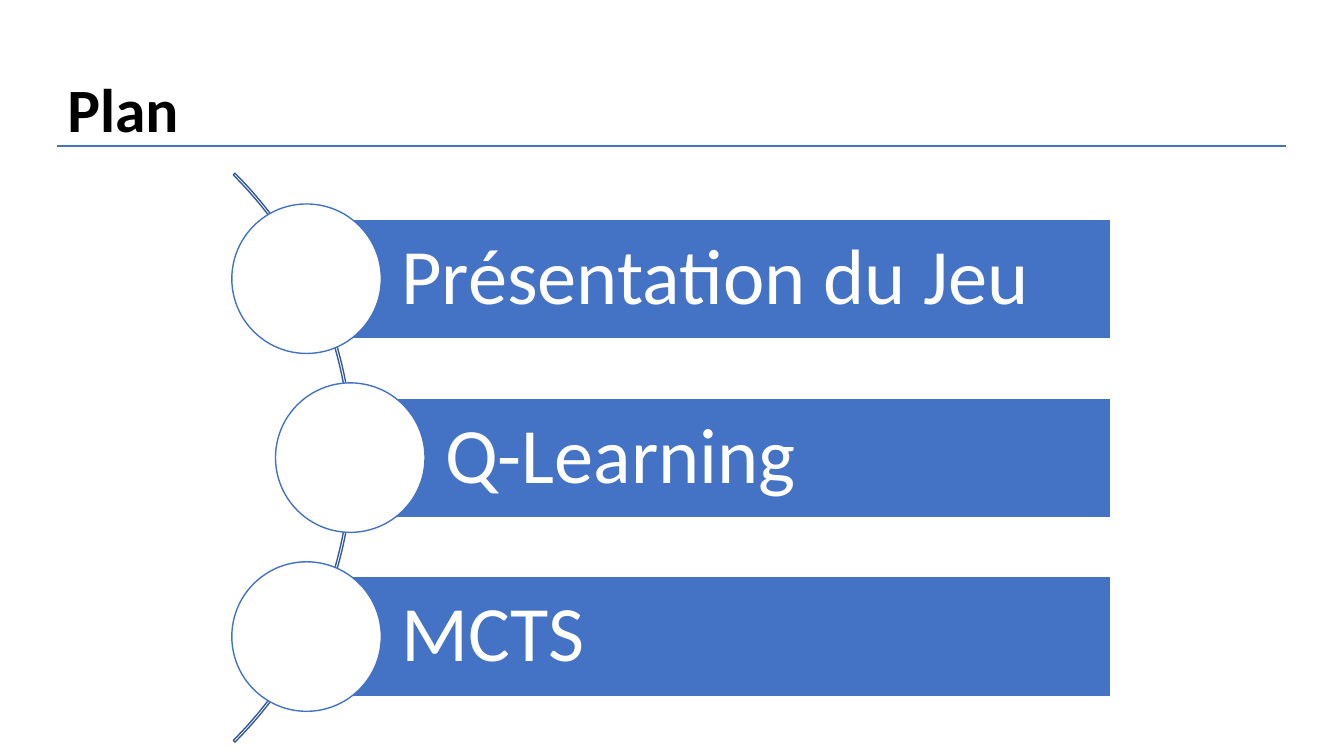
from dataclasses import dataclass

from pptx import Presentation
from pptx import util as u
from pptx.dml.color import RGBColor
from pptx.enum import shapes, text
from pptx.oxml import xmlchemy


@dataclass(frozen=True)
class Theme:
    font: str = "Calibri"
    accent: str = "4472C4"
    arc: str = "365B9D"
    light: str = "FFFFFF"
    dark: str = "000000"
    title_size: float = 44
    item_size: float = 56
    rule_width: float = 1.5
    outline_width: float = 1


class PlanSlide:
    def __init__(self, slide, theme):
        self.slide = slide
        self.theme = theme

    def label(self, frame, wording, insets, color, **font_format):
        frame.word_wrap = True
        frame.vertical_anchor = text.MSO_ANCHOR.MIDDLE
        for side, inset in insets.items():
            setattr(frame, f"margin_{side}", u.Pt(inset))
        paragraph = frame.paragraphs[0]
        paragraph.alignment = text.PP_ALIGN.LEFT
        paragraph.line_spacing = 0.9
        run = paragraph.add_run()
        run.text = wording
        for name, value in {"name": self.theme.font, **font_format}.items():
            setattr(run.font, name, value)
        run.font.color.rgb = RGBColor.from_string(color)

    def title(self, wording, left, top, width, height):
        heading = self.slide.shapes.add_textbox(*map(u.Pt, (left, top, width, height)))
        self.label(heading.text_frame, wording, {"left": 7.2, "right": 7.2}, self.theme.dark,
                   size=u.Pt(self.theme.title_size), bold=True)

    def rule(self, left, right, y):
        underline = self.slide.shapes.add_connector(
            shapes.MSO_CONNECTOR.STRAIGHT, *map(u.Pt, (left, y, right, y)))
        underline.line.color.rgb = RGBColor.from_string(self.theme.accent)
        underline.line.width = u.Pt(self.theme.rule_width)
        properties = underline._element.spPr
        properties.append(xmlchemy.OxmlElement("a:effectLst"))

    def shape(self, kind, left, top, width, height, outline, fill=None):
        figure = self.slide.shapes.add_shape(kind, *map(u.Pt, (left, top, width, height)))
        figure.shadow.inherit = False
        if fill:
            figure.fill.solid()
            figure.fill.fore_color.rgb = RGBColor.from_string(fill)
        else:
            figure.fill.background()
        figure.line.color.rgb = RGBColor.from_string(outline)
        figure.line.width = u.Pt(self.theme.outline_width)
        return figure

    def arc(self, left, top, diameter):
        curve = self.shape(shapes.MSO_SHAPE.BLOCK_ARC, left, top, diameter, diameter,
                           self.theme.arc)
        for index, value in enumerate((189, 27, 0.003)):
            curve.adjustments[index] = value

    def item(self, wording, center_x, center_y, right, bar_height, diameter):
        bar = self.shape(shapes.MSO_SHAPE.RECTANGLE, center_x, center_y - bar_height / 2,
                         right - center_x, bar_height, self.theme.light, self.theme.accent)
        insets = {"left": 67.7, "top": 11.5, "right": 11.5, "bottom": 11.5}
        self.label(bar.text_frame, wording, insets, self.theme.light,
                   size=u.Pt(self.theme.item_size))
        self.shape(shapes.MSO_SHAPE.OVAL, center_x - diameter / 2, center_y - diameter / 2,
                   diameter, diameter, self.theme.accent, self.theme.light)


def main():
    deck = Presentation()
    deck.slide_width, deck.slide_height = u.Pt(960), u.Pt(540)
    plan = PlanSlide(deck.slides.add_slide(deck.slide_layouts[6]), Theme())

    plan.title("Plan", 41, 28, 828, 104.4)
    plan.rule(41, 918.7, 104.4)

    middle_y, pitch, arc_diameter = 326.9, 127.8, 574.6
    plan.arc(-322.6, middle_y - arc_diameter / 2, arc_diameter)

    topics = (("Présentation du Jeu", 219), ("Q-Learning", 250.2), ("MCTS", 219))
    for row, (topic, center_x) in enumerate(topics):
        plan.item(topic, center_x, middle_y + (row - 1) * pitch,
                  right=793.6, bar_height=85.4, diameter=106.8)

    deck.save("out.pptx")


if __name__ == "__main__":
    main()
